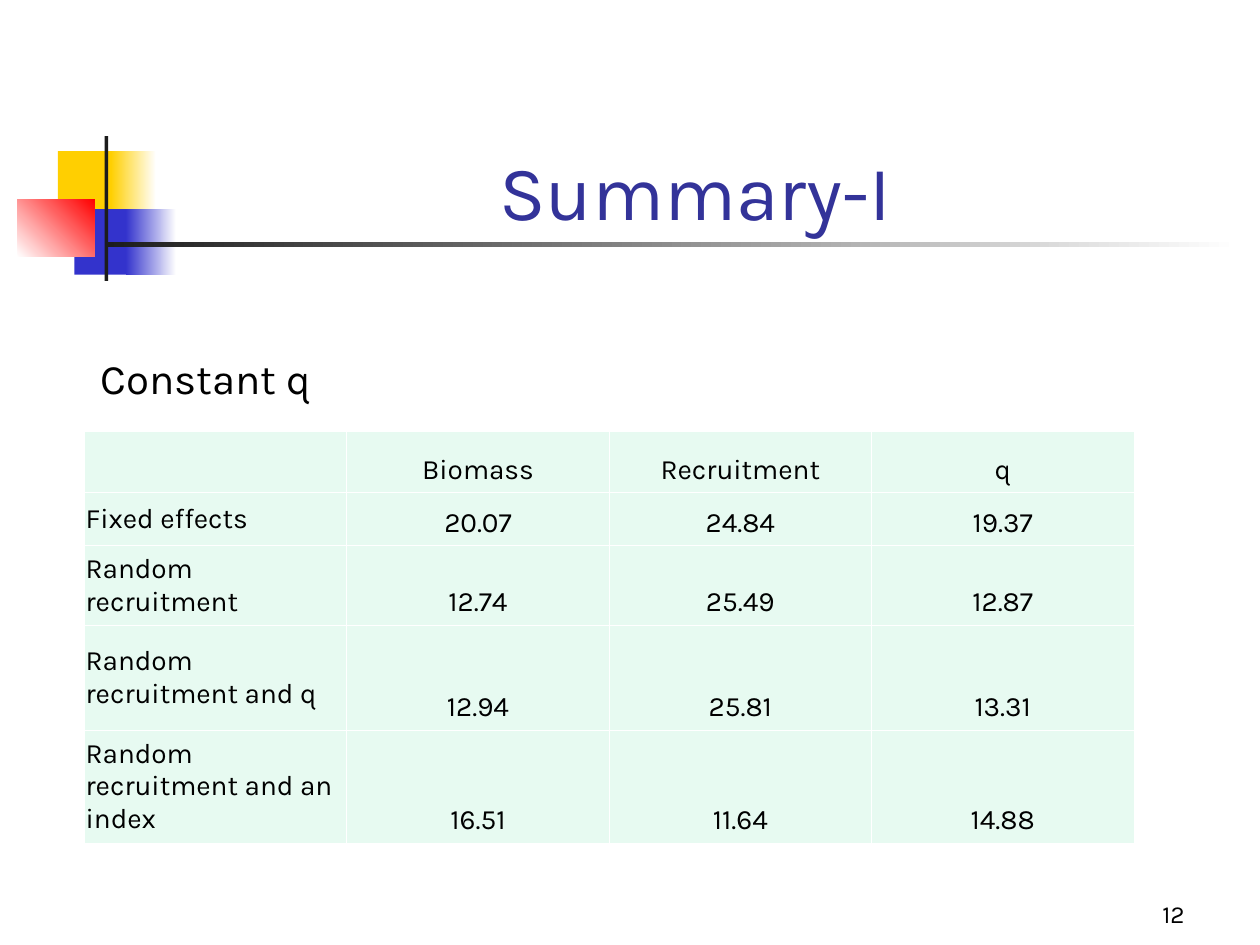
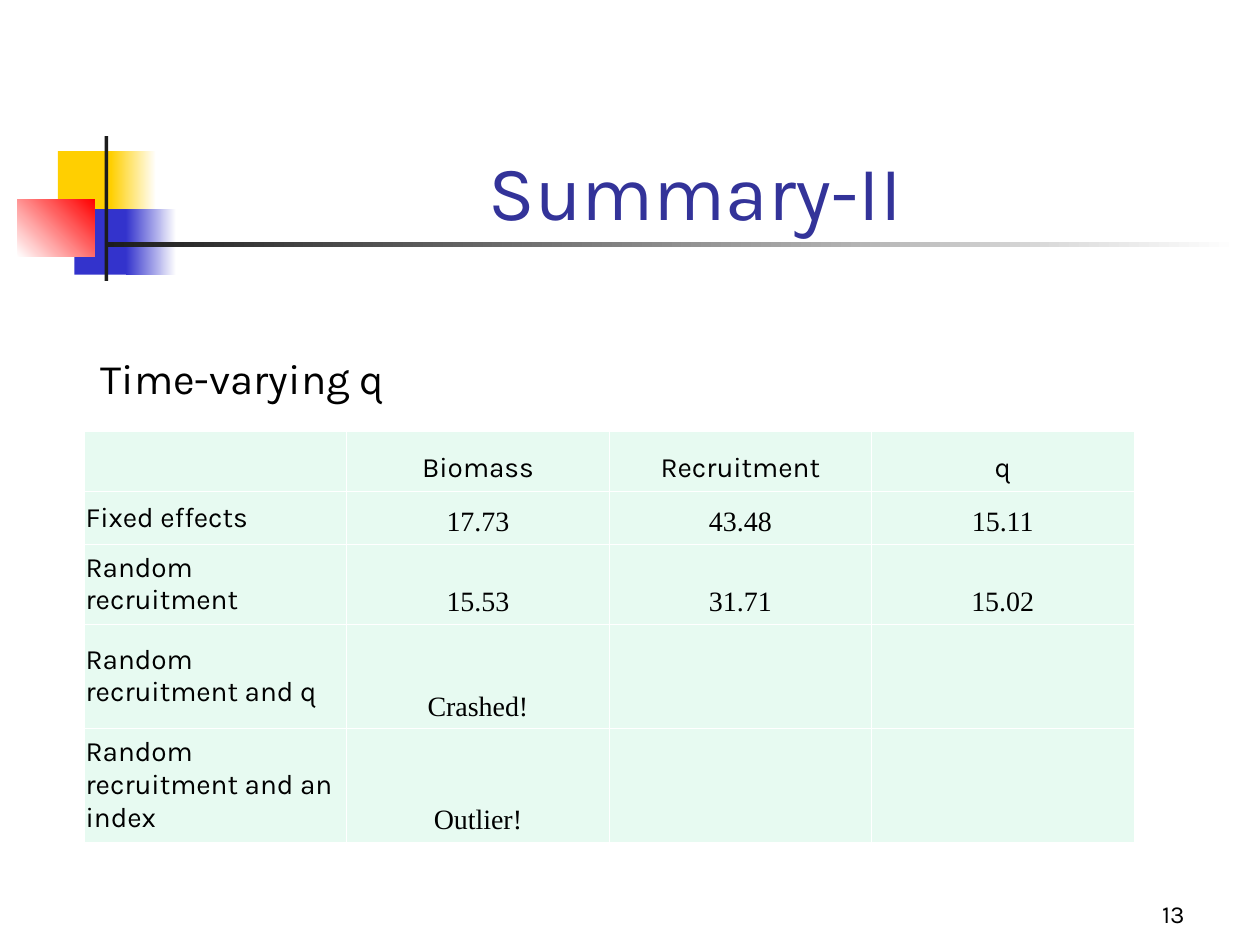
from dataclasses import dataclass

from lxml.etree import SubElement
from pptx import Presentation
from pptx.dml.color import RGBColor as RGB
from pptx.enum.shapes import MSO_SHAPE as SHAPE
from pptx.enum.text import MSO_ANCHOR as ANCHOR, MSO_AUTO_SIZE as AUTOSIZE, PP_ALIGN as ALIGN
from pptx.oxml.ns import qn
from pptx.util import Inches, Pt


@dataclass(frozen=True)
class Theme:
    title: str = "333399"
    text: str = "000000"
    white: str = "FFFFFF"
    yellow: str = "FFCF01"
    blue: str = "3333CC"
    red: str = "FF0000"
    dark: str = "1C1C1C"
    cell: str = "E7FAF1"
    font: str = "Karla"
    serif: str = "Times New Roman"
    title_size: int = 44
    heading_size: int = 24
    table_size: int = 16
    number_size: int = 14
    border: float = 0.45


T = Theme()


def write(tf, text, size, color=T.text, font=T.font, align=ALIGN.LEFT):
    p = tf.paragraphs[0]
    p.alignment = align
    r = p.add_run()
    r.text = text
    r.font.size = Pt(size)
    r.font.name = font
    r.font.color.rgb = RGB.from_string(color)


def add_border(cell):
    tcPr = cell._tc.get_or_add_tcPr()
    for i, side in enumerate(("lnL", "lnR", "lnT", "lnB")):
        ln = SubElement(tcPr, qn(f"a:{side}"), w=str(Pt(T.border)))
        fill = SubElement(ln, qn("a:solidFill"))
        SubElement(fill, qn("a:srgbClr"), val=T.white)
        tcPr.insert(i, ln)


# Content: title, number, heading, font of the values, row heights, values
HEADER = ["", "Biomass", "Recruitment", "q"]
MODELS = ["Fixed effects", "Random recruitment", "Random recruitment and q",
          "Random recruitment and an index"]
SLIDES = [
    ("Summary-I", "12", "Constant q", 1.9, T.font, [0.49, 0.42, 0.63, 0.83, 0.9],
     [["20.07", "24.84", "19.37"], ["12.74", "25.49", "12.87"],
      ["12.94", "25.81", "13.31"], ["16.51", "11.64", "14.88"]]),
    ("Summary-II", "13", "Time-varying q", 2.53, T.serif, [0.48, 0.42, 0.63, 0.83, 0.88],
     [["17.73", "43.48", "15.11"], ["15.53", "31.71", "15.02"],
      ["Crashed!", "", ""], ["Outlier!", "", ""]]),
]

# Band: left, top, width, height, colours (two make a gradient), angle
BAND = [
    (0.46, 1.2, 0.48, 0.52, [T.yellow], 0),
    (0.88, 1.2, 0.36, 0.52, [T.yellow, T.white], 0),
    (0.59, 1.66, 0.46, 0.52, [T.blue], 0),
    (1, 1.66, 0.4, 0.52, [T.blue, T.white], 0),
    (0.14, 1.58, 0.61, 0.46, [T.white, T.red], 45),
    (0.83, 1.08, 0.03, 1.15, [T.dark], 0),
    (0.83, 1.92, 9, 0.04, [T.dark, T.white], 0),
]

prs = Presentation()
prs.slide_width, prs.slide_height = Inches(10), Inches(7.5)
layout = prs.slide_layouts[5]

for title, number, heading, heading_width, value_font, heights, values in SLIDES:
    s = prs.slides.add_slide(layout)

    # Title
    sp = s.shapes.title
    sp.left, sp.top, sp.width, sp.height = (Inches(v) for v in (1.26, 0.67, 8.52, 1.25))
    tf = sp.text_frame
    tf.auto_size = AUTOSIZE.NONE
    tf.vertical_anchor = ANCHOR.BOTTOM
    write(tf, title, T.title_size, color=T.title, align=ALIGN.CENTER)

    # Slide number
    tf = s.shapes.add_textbox(Inches(7.42), Inches(6.92), Inches(2.08), Inches(0.5)).text_frame
    tf.word_wrap = True
    tf.vertical_anchor = ANCHOR.BOTTOM
    write(tf, number, T.number_size, align=ALIGN.RIGHT)

    # Heading above the table
    tf = s.shapes.add_textbox(Inches(0.7), Inches(2.75), Inches(heading_width),
                              Inches(0.5)).text_frame
    tf.word_wrap = False
    write(tf, heading, T.heading_size)

    # Table
    rows = [HEADER] + [[model, *row] for model, row in zip(MODELS, values)]
    table = s.shapes.add_table(len(rows), len(HEADER), Inches(0.67), Inches(3.42),
                               Inches(8.33), Inches(sum(heights))).table
    table.first_row = table.horz_banding = False
    for row, height in zip(table.rows, heights):
        row.height = Inches(height)
    for i, row in enumerate(rows):
        for j, text in enumerate(row):
            cell = table.cell(i, j)
            cell.fill.solid()
            cell.fill.fore_color.rgb = RGB.from_string(T.cell)
            add_border(cell)
            cell.margin_left = cell.margin_right = Inches(0.01)
            cell.vertical_anchor = ANCHOR.BOTTOM if j else ANCHOR.MIDDLE
            if text:
                write(cell.text_frame, text, T.table_size,
                      font=value_font if i and j else T.font,
                      align=ALIGN.CENTER if j else ALIGN.LEFT)

# Band, drawn once and moved to the layout that the slides share
for i, (left, top, width, height, colors, angle) in enumerate(BAND):
    sp = s.shapes.add_shape(SHAPE.RECTANGLE, Inches(left), Inches(top),
                            Inches(width), Inches(height))
    sp.shadow.inherit = False
    sp.line.fill.background()
    if len(colors) == 1:
        sp.fill.solid()
        sp.fill.fore_color.rgb = RGB.from_string(colors[0])
    else:
        sp.fill.gradient()
        sp.fill.gradient_angle = angle
        for stop, color in zip(sp.fill.gradient_stops, colors):
            stop.color.rgb = RGB.from_string(color)
    sp.element.nvSpPr.cNvPr.set("id", str(20 + i))
    layout.shapes.element.append(sp.element)

prs.save("out.pptx")
